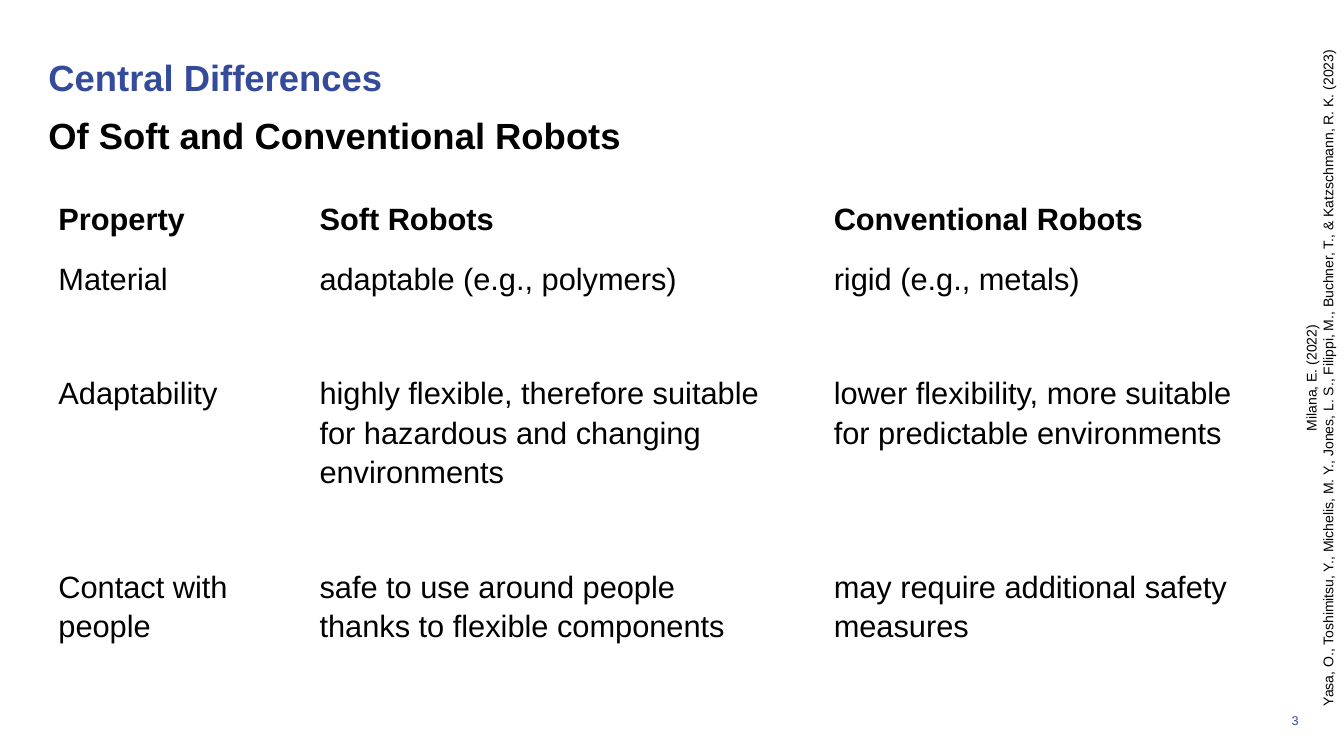
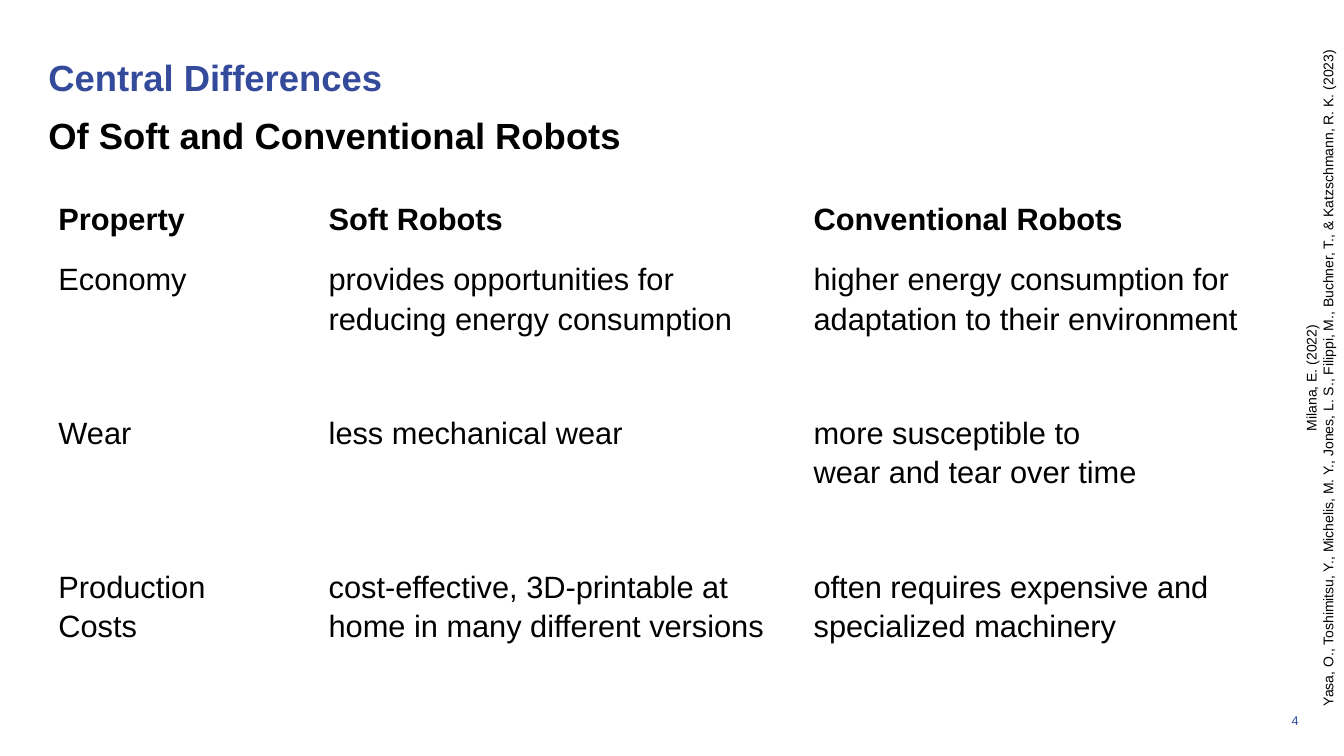
from pptx import Presentation
from pptx.dml.color import RGBColor
from pptx.enum.text import MSO_ANCHOR as Anchor, PP_ALIGN as Align
from pptx.util import Pt

PX = 9144
FONT = "Arial"
BLACK = RGBColor(0, 0, 0)
BLUE = RGBColor(0x34, 0x4A, 0x9A)

TITLE = "Central Differences\vOf Soft and Conventional Robots"
HEADER = ("Property", "Soft Robots", "Conventional Robots")
SOURCES = (
    "Milana, E. (2022)\n"
    "Yasa, O., Toshimitsu, Y., Michelis, M. Y., Jones, L. S., Filippi, M., "
    "Buchner, T., & Katzschmann, R. K. (2023)"
)
SPACER = ("", "", "")
ROW_PADDING, LINE_HEIGHT, SPACER_HEIGHT = 20, 39, 54

SLIDES = [
    {
        "number": "3",
        "columns": (259, 510, 431),
        "line_counts": (1, 3, 2),
        "rows": [
            ("Material", "adaptable (e.g., polymers)", "rigid (e.g., metals)"),
            (
                "Adaptability",
                "highly flexible, therefore suitable\nfor hazardous and changing environments",
                "lower flexibility, more suitable for predictable environments",
            ),
            (
                "Contact with\npeople",
                "safe to use around people\nthanks to flexible components",
                "may require additional safety measures",
            ),
        ],
    },
    {
        "number": "4",
        "columns": (268, 481, 492),
        "line_counts": (2, 2, 2),
        "rows": [
            (
                "Economy",
                "provides opportunities for reducing energy consumption",
                "higher energy consumption for adaptation to their environment",
            ),
            ("Wear", "less mechanical wear", "more susceptible to\nwear and tear over time"),
            (
                "Production\nCosts",
                "cost-effective, 3D-printable at home in many different versions",
                "often requires expensive and specialized machinery",
            ),
        ],
    },
]


def write(frame, text, size, colors=(BLACK,), bold=False, align=Align.LEFT, spacing=1.0):
    for index, line in enumerate(text.split("\n")):
        paragraph = frame.add_paragraph() if index else frame.paragraphs[0]
        paragraph.alignment = align
        paragraph.line_spacing = spacing
        paragraph.font.size = Pt(size)
        for part_index, (part, color) in enumerate(zip(line.split("\v"), colors)):
            if part_index:
                paragraph.add_line_break()
            run = paragraph.add_run()
            run.text = part
            run.font.name = FONT
            run.font.size = Pt(size)
            run.font.bold = bold
            run.font.color.rgb = color


def set_margins(target, margin):
    target.margin_left = target.margin_right = margin * PX
    target.margin_top = target.margin_bottom = margin * PX


def add_title(slide):
    title = slide.shapes.title
    title.left, title.top, title.width, title.height = (v * PX for v in (48, 40, 1240, 145))
    frame = title.text_frame
    set_margins(frame, 0)
    frame.word_wrap = True
    frame.vertical_anchor = Anchor.TOP
    write(frame, TITLE, 26, colors=(BLUE, BLACK), bold=True, spacing=1.33)


def add_text(slide, text, box, margin=0, rotation=0, **text_format):
    shape = slide.shapes.add_textbox(*(v * PX for v in box))
    shape.rotation = rotation
    frame = shape.text_frame
    frame.word_wrap = True
    set_margins(frame, margin)
    write(frame, text, **text_format)


def add_comparison(slide, columns, rows, line_counts):
    contents = [(HEADER, 1)]
    for index, row in enumerate(zip(rows, line_counts)):
        if index:
            contents.append((SPACER, 0))
        contents.append(row)
    heights = [
        ROW_PADDING + LINE_HEIGHT * count if count else SPACER_HEIGHT
        for _, count in contents
    ]
    table = slide.shapes.add_table(
        len(contents), len(columns), 48 * PX, 186 * PX,
        sum(columns) * PX, sum(heights) * PX,
    ).table
    table.first_row = table.horz_banding = False
    for column, width in zip(table.columns, columns):
        column.width = width * PX
    for row_index, (row, (texts, count)) in enumerate(zip(table.rows, contents)):
        row.height = heights[row_index] * PX
        for cell, text in zip(row.cells, texts):
            cell.fill.background()
            set_margins(cell, 10)
            if count:
                write(cell.text_frame, text, 22, bold=row_index == 0, spacing=1.15)


def main():
    presentation = Presentation()
    presentation.slide_width = 1333 * PX
    presentation.slide_height = 750 * PX
    for content in SLIDES:
        slide = presentation.slides.add_slide(presentation.slide_layouts[5])
        add_title(slide)
        add_comparison(slide, content["columns"], content["rows"], content["line_counts"])
        add_text(slide, content["number"], (1249, 707, 39, 20),
                 size=9, colors=(BLUE,), align=Align.RIGHT)
        add_text(slide, SOURCES, (934, 348, 750, 54), margin=10, rotation=270,
                 size=10, align=Align.CENTER)
    presentation.save("out.pptx")


if __name__ == "__main__":
    main()
